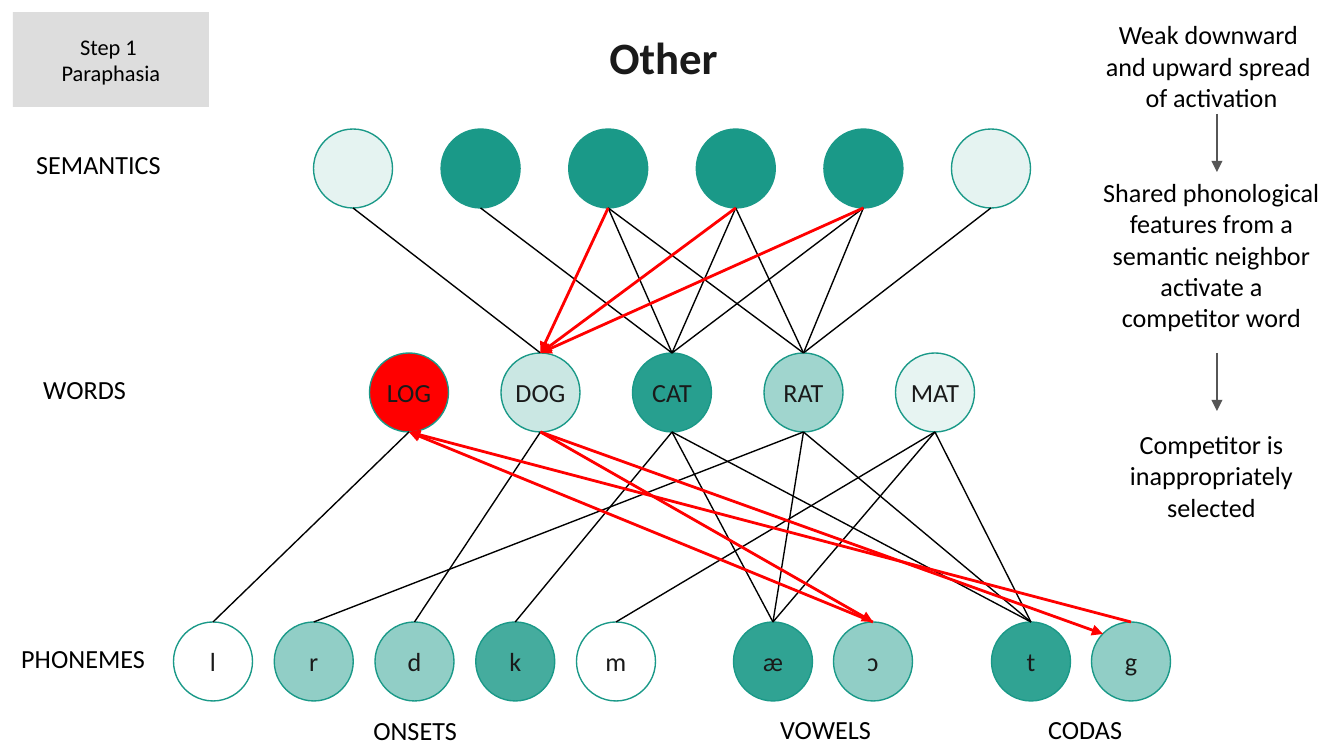
from lxml.etree import SubElement
from pptx import Presentation
from pptx.dml.color import RGBColor
from pptx.enum.shapes import MSO_CONNECTOR as Connector, MSO_SHAPE as Shape
from pptx.enum.text import MSO_ANCHOR as Anchor, MSO_AUTO_SIZE as AutoSize, PP_ALIGN as Align
from pptx.oxml.ns import qn
from pptx.util import Emu, Pt

SCALE = 914400 / 134.4
FONT = "Calibri"
DIAMETER = 79
COLORS = {
    "teal": "1A9988", "red": "FF0000", "black": "000000",
    "ink": "1A1A1A", "arrow": "565656", "badge": "DDDDDD",
}

# top, then runs of evenly spaced nodes: first centre, last centre, (name, colour, opacity)
ROWS = [
    (129, [(353, 991, [("S1", "teal", 11), ("S2", "teal", 100), ("S3", "teal", 100),
                       ("S4", "teal", 100), ("S5", "teal", 100), ("S6", "teal", 11)])]),
    (353, [(409, 935, [("LOG", "red", 100), ("DOG", "teal", 23), ("CAT", "teal", 94),
                       ("RAT", "teal", 41), ("MAT", "teal", 10)])]),
    (622, [(213, 616, [("l", None, 0), ("r", "teal", 48), ("d", "teal", 48),
                       ("k", "teal", 81), ("m", None, 0)]),
           (773, 873, [("æ", "teal", 90), ("ɔ", "teal", 48)]),
           (1031, 1131, [("t", "teal", 90), ("g", "teal", 48)])]),
]
UNLABELLED = ("S1", "S2", "S3", "S4", "S5", "S6")

LINKS = {
    "S1": ["DOG"], "S2": ["CAT"], "S3": ["CAT", "RAT"], "S4": ["CAT", "RAT"],
    "S5": ["CAT", "RAT"], "S6": ["RAT"],
    "LOG": ["l"], "DOG": ["d"], "CAT": ["k", "æ", "t"],
    "RAT": ["r", "æ", "t"], "MAT": ["m", "æ", "t"],
}
SPREAD = [("ɔ", "LOG"), ("g", "LOG"), ("DOG", "ɔ"), ("DOG", "g"),
          ("S3", "DOG"), ("S4", "DOG"), ("S5", "DOG")]

LABELS = [
    ("SEMANTICS", 23, 142, 153), ("WORDS", 30, 367, 110), ("PHONEMES", 8, 636, 152),
    ("ONSETS", 360, 708, 112), ("VOWELS", 767, 707, 120), ("CODAS", 1035, 707, 102),
]
EXPLANATION = [
    ("Weak downward \vand upward spread \vof activation", 0),
    ("Shared phonological features from a semantic neighbor activate a competitor word", 34),
    ("Competitor is inappropriately selected", 51),
]
STEP_ARROWS = [(1217, 114, 172), (1217, 353, 411)]


def px(value):
    return Emu(round(value * SCALE))


def rgb(name):
    return RGBColor.from_string(COLORS[name])


def write(shape, paragraphs, size=14, color="black", align=Align.CENTER, bold=False, wrap=True):
    frame = shape.text_frame
    frame.word_wrap = wrap
    frame.text = "\n".join(text for text, _ in paragraphs)
    for paragraph, (_, gap) in zip(frame.paragraphs, paragraphs):
        paragraph.alignment = align
        paragraph.space_before = Pt(gap)
        for run in paragraph.runs:
            run.font.name = FONT
            run.font.size = Pt(size)
            run.font.bold = bold
            run.font.color.rgb = rgb(color)


def add_text(slide, box, paragraphs, **style):
    shape = slide.shapes.add_textbox(*map(px, box))
    write(shape, paragraphs, **style)
    shape.text_frame.auto_size = AutoSize.SHAPE_TO_FIT_TEXT


def add_node(shapes, name, center, top, color, opacity):
    node = shapes.add_shape(Shape.OVAL, px(center - DIAMETER / 2), px(top), px(DIAMETER), px(DIAMETER))
    node.shadow.inherit = False
    node.line.color.rgb = rgb("teal")
    node.line.width = Pt(0.75)
    if color:
        node.fill.solid()
        node.fill.fore_color.rgb = rgb(color)
        if opacity < 100:
            fill_color = node.fill._xPr.find(qn("a:solidFill"))[0]
            SubElement(fill_color, qn("a:alpha"), val=str(opacity * 1000))
    else:
        node.fill.background()
    if name not in UNLABELLED:
        frame = node.text_frame
        frame.margin_left = frame.margin_right = frame.margin_top = frame.margin_bottom = 0
        frame.vertical_anchor = Anchor.MIDDLE
        write(node, [(name, 0)], color="ink")


def add_line(slide, start, end, color, width=0.75, arrow=False):
    line = slide.shapes.add_connector(Connector.STRAIGHT, *map(px, (*start, *end)))
    line.line.color.rgb = rgb(color)
    line.line.width = Pt(width)
    if arrow:
        SubElement(line.line._get_or_add_ln(), qn("a:tailEnd"), type="triangle")
    SubElement(line._element.spPr, qn("a:effectLst"))


def link_ends(nodes, source, target):
    (x1, top1), (x2, top2) = nodes[source], nodes[target]
    if top1 < top2:
        return (x1, top1 + DIAMETER), (x2, top2)
    return (x1, top1), (x2, top2 + DIAMETER)


def main():
    presentation = Presentation()
    presentation.slide_width, presentation.slide_height = px(1344), px(756)
    slide = presentation.slides.add_slide(presentation.slide_layouts[6])

    nodes = {}
    for top, runs in ROWS:
        group = slide.shapes.add_group_shape()
        for first, last, members in runs:
            pitch = (last - first) / (len(members) - 1)
            for index, (name, color, opacity) in enumerate(members):
                nodes[name] = (first + index * pitch, top)
                add_node(group.shapes, name, *nodes[name], color, opacity)

    for source, targets in LINKS.items():
        for target in targets:
            add_line(slide, *link_ends(nodes, source, target), "black")
    for source, target in SPREAD:
        start, end = link_ends(nodes, source, target)
        if target == "g":
            end = (end[0] - 28, end[1] + 12)
        add_line(slide, start, end, "red", 1.5, arrow=True)

    add_text(slide, (1086, 12, 251, 520), EXPLANATION)
    for label, left, top, width in LABELS:
        add_text(slide, (left, top, width, 46), [(label, 0)], align=Align.LEFT, wrap=False)
    for x, top, bottom in STEP_ARROWS:
        add_line(slide, (x, top), (x, bottom), "arrow", arrow=True)
    add_text(slide, (456, 23, 415, 67), [("Other", 0)], size=24, color="ink", bold=True)

    badge = slide.shapes.add_shape(Shape.RECTANGLE, *map(px, (13, 12, 196, 95)))
    badge.shadow.inherit = False
    badge.fill.solid()
    badge.fill.fore_color.rgb = rgb("badge")
    badge.line.fill.background()
    badge.text_frame.vertical_anchor = Anchor.MIDDLE
    write(badge, [("Step 1 \vParaphasia", 0)], size=12)

    presentation.save("out.pptx")


if __name__ == "__main__":
    main()
